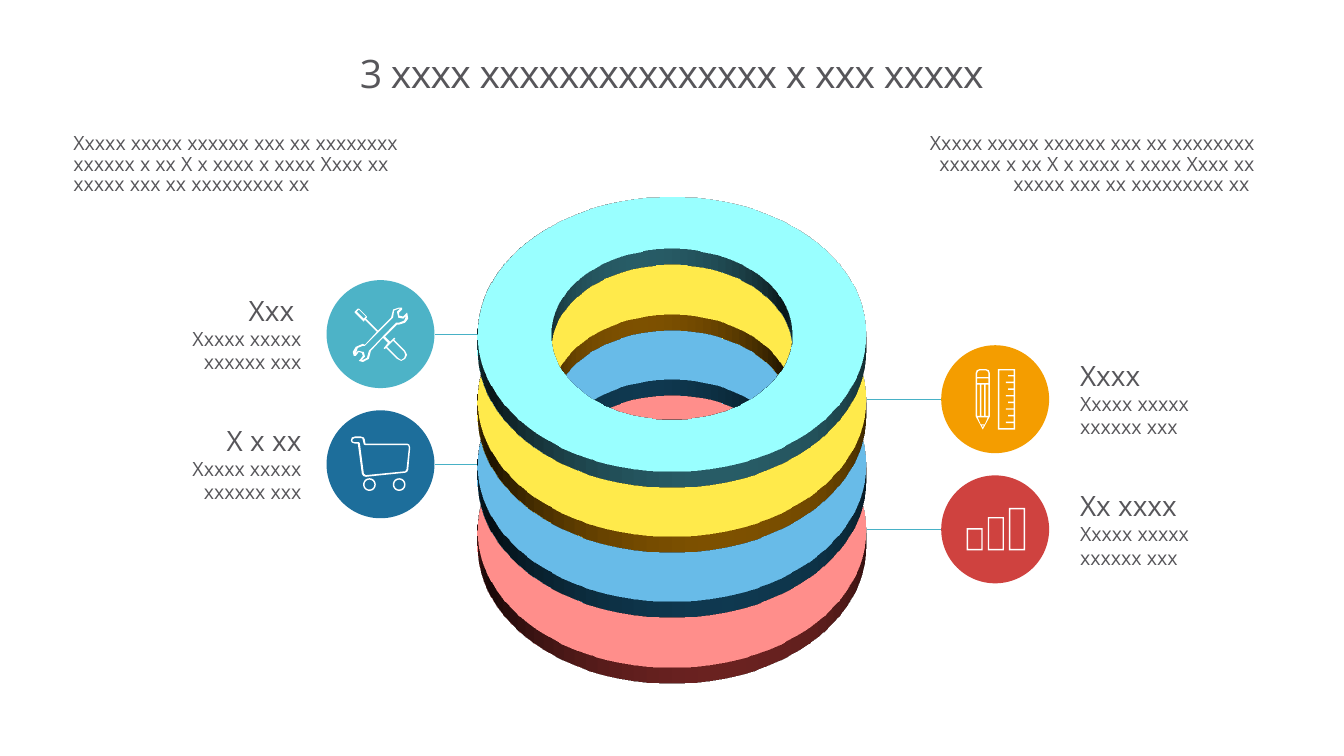
import math
from lxml import etree
from pptx import Presentation
from pptx import util as u
from pptx.dml.color import RGBColor
from pptx.enum import shapes, text
from pptx.oxml import ns

TEAL = RGBColor(0x4D, 0xB3, 0xC7)
ORANGE = RGBColor(0xF4, 0x9D, 0x00)
BLUE = RGBColor(0x1D, 0x6E, 0x9B)
RED = RGBColor(0xCF, 0x42, 0x3F)
LINE = RGBColor(0x48, 0xB1, 0xC6)
WHITE = RGBColor(0xFF, 0xFF, 0xFF)
GREY = RGBColor(0x57, 0x56, 0x5A)
FONT = "Open Sans"
LEFT, RIGHT, CENTER = text.PP_ALIGN.LEFT, text.PP_ALIGN.RIGHT, text.PP_ALIGN.CENTER
STEP = 1.64  # vertical distance between layers, cm
WALL = 1.4   # stroke of the icons, hundredths of an inch


# Icon outlines, in hundredths of an inch from the icon corner
def rect(x, y, w, h):
    return [(x, y), (x + w, y), (x + w, y + h), (x, y + h)]


def frame(x, y, w, h):
    return [rect(x, y, w, h), rect(x + WALL, y + WALL, w - 2 * WALL, h - 2 * WALL)]


def ring(cx, cy, radius):
    angles = [math.radians(a) for a in range(0, 360, 15)]
    return [[(cx + k * math.cos(a), cy + k * math.sin(a)) for a in angles]
            for k in (radius, radius - WALL)]


TOOLS = [
    [(41, 32), (42, 31), (42, 30), (41, 30), (40, 31), (37, 34), (32, 29), (44, 17),
     (46, 17), (52, 15), (55, 11), (54, 5), (53, 6), (50, 9), (46, 8), (46, 5), (49, 2),
     (49, 0), (46, 0), (40, 2), (38, 10), (25, 23), (13, 11), (14, 10), (14, 9), (6, 1),
     (5, 1), (2, 4), (2, 5), (10, 13), (11, 14), (12, 12), (24, 24), (12, 37), (10, 36),
     (3, 39), (0, 44), (1, 48), (3, 48), (6, 44), (9, 45), (10, 48), (7, 52), (6, 53),
     (10, 54), (16, 51), (18, 43), (30, 30), (35, 35), (31, 40), (31, 41), (32, 41),
     (33, 40), (44, 51), (48, 53), (52, 51), (54, 47), (52, 43)],
    [(11, 11), (4, 4), (6, 2), (13, 9)],
    [(16, 43), (14, 50), (10, 52), (9, 52), (12, 49), (12, 48), (11, 44), (10, 44),
     (6, 43), (5, 43), (3, 46), (5, 40), (10, 38), (12, 38), (39, 11), (40, 10), (41, 3),
     (46, 1), (47, 1), (44, 4), (44, 5), (45, 9), (45, 10), (50, 11), (53, 8), (51, 13),
     (46, 15), (44, 15), (43, 15), (17, 42)],
    [(51, 50), (48, 52), (45, 50), (34, 39), (40, 33), (51, 44), (52, 47)],
]
CART = [
    [(15, 40), (12.5, 39.3), (11, 37), (7, 7), (4, 7), (1, 6), (0, 4), (1, 1), (4, 0),
     (10, 0), (13, 1), (14, 3), (14.5, 7), (56, 7), (58, 8), (59, 11), (57, 33), (56, 35),
     (54, 36)],
    [(4, 1.5), (2, 2.5), (1.5, 4), (2, 5), (4, 5.7), (8, 5.7), (9, 6.5), (13, 37),
     (15, 38.3), (54, 34.5), (55.3, 32.5), (57.6, 11), (57, 9), (56, 8.5), (14, 8.5),
     (13, 8), (12, 4), (11.5, 2), (10, 1.5)],
    *ring(18.5, 47.7, 6.3), *ring(48, 47.7, 6.3),
]
PENCIL = [
    [(0, 47), (7, 60), (14, 47), (14, 4), (13, 1.2), (10, 0), (4, 0), (1, 1.2), (0, 4)],
    [(1.4, 8), (1.4, 4), (2.5, 2), (4, 1.4), (10, 1.4), (11.5, 2), (12.6, 4), (12.6, 8)],
    rect(1.4, 9.2, 11.2, 4.8),
    *[rect(x, 15.5, 2.8, 31) for x in (1.4, 5.6, 9.8)],
    [(2, 48), (12, 48), (9, 55), (5, 55)],
    [(6, 56), (8, 56), (7, 58)],
]
RULER = frame(0, 0, 17, 60) + [
    rect(8 + 2 * (1 - i % 2), 6 + 6.6 * i, 7.6 - 2 * (1 - i % 2), WALL) for i in range(8)]
BARS = frame(0, 20, 16, 22) + frame(21, 9, 16, 33) + frame(42, 0, 16, 42)


class Infographic:
    def __init__(self, s):
        self.s = s

    def plain(self, sp, color):
        sp.shadow.inherit = False
        sp.fill.solid()
        sp.fill.fore_color.rgb = color
        sp.line.fill.background()
        return sp

    def shape(self, kind, x, y, size, color):
        sp = self.s.shapes.add_shape(kind, u.Cm(x), u.Cm(y), u.Cm(size), u.Cm(size))
        return self.plain(sp, color)

    def layer(self, x, y, color):
        """Donut tilted back by 45 degrees and extruded."""
        sp = self.shape(shapes.MSO_SHAPE.DONUT, x, y, 9.8, color)
        sp.adjustments[0] = 0.19
        props = sp._element.spPr
        scene = etree.SubElement(props, ns.qn("a:scene3d"))
        camera = etree.SubElement(scene, ns.qn("a:camera"), prst="orthographicFront")
        etree.SubElement(camera, ns.qn("a:rot"), lat="18900000", lon="0", rev="0")
        etree.SubElement(scene, ns.qn("a:lightRig"), rig="threePt", dir="t")
        etree.SubElement(props, ns.qn("a:sp3d"), extrusionH="203200")

    def icon(self, x, y, outlines):
        first, *others = [[(10 * px, 10 * py) for px, py in o] for o in outlines]
        builder = self.s.shapes.build_freeform(*first[0], scale=u.Cm(2.54) / 1000)
        builder.add_line_segments(first[1:], close=True)
        for outline in others:
            builder.move_to(*outline[0])
            builder.add_line_segments(outline[1:], close=True)
        return self.plain(builder.convert_to_shape(u.Cm(x), u.Cm(y)), WHITE)

    def line(self, x1, x2, y):
        c = self.s.shapes.add_connector(shapes.MSO_CONNECTOR.STRAIGHT,
                                        u.Cm(x1), u.Cm(y), u.Cm(x2), u.Cm(y))
        c.line.color.rgb = LINE
        c.line.width = u.Pt(0.75)
        etree.SubElement(c._element.spPr, ns.qn("a:effectLst"))

    def run(self, p, words, size, align, spacing=None):
        p.alignment = align
        if spacing:
            p.line_spacing = spacing
        r = p.add_run()
        r.text = words
        r.font.name, r.font.size = FONT, u.Pt(size)
        r.font.color.rgb = GREY
        return r

    def box(self, x, y, w, h, align, parts, spacing=None, insets=None):
        tf = self.s.shapes.add_textbox(u.Cm(x), u.Cm(y), u.Cm(w), u.Cm(h)).text_frame
        tf.word_wrap = True
        tf.auto_size = text.MSO_AUTO_SIZE.SHAPE_TO_FIT_TEXT
        if insets:
            side, tf.margin_top, tf.margin_bottom = [u.Cm(v) for v in insets]
            tf.margin_left = tf.margin_right = side
        for i, (words, size) in enumerate(parts):
            p = tf.add_paragraph() if i else tf.paragraphs[0]
            self.run(p, words, size, align, spacing)

    def title(self, words):
        sp = self.s.shapes.title
        sp.left, sp.top, sp.width, sp.height = [u.Cm(v) for v in (2.54, 0.79, 28.78, 2.26)]
        tf = sp.text_frame
        tf.margin_left = tf.margin_right = tf.margin_top = tf.margin_bottom = 0
        tf.vertical_anchor = text.MSO_ANCHOR.MIDDLE
        r = self.run(tf.paragraphs[0], words, 28, CENTER, 0.86)
        r._r.get_or_add_rPr().set("spc", "-50")


def main():
    prs = Presentation()
    prs.slide_width, prs.slide_height = u.Cm(33.87), u.Cm(19.05)
    page = Infographic(prs.slides.add_slide(prs.slide_layouts[5]))
    page.title("3 xxxx xxxxxxxxxxxxxxx x xxx xxxxx")

    # Stack of layers, lowest first
    colors = [TEAL, ORANGE, BLUE, RED]
    for i in reversed(range(4)):
        page.layer(12.04, 3.53 + STEP * i, colors[i])

    # Labels, alternating left and right
    for i, heading in enumerate(["Xxx ", "Xxxx", "X x xx", "Xx xxxx"]):
        drop = STEP * i
        if i % 2:
            circle_x, text_x, align, ends = 23.72, 26.97, LEFT, (23.72, 21.84)
        else:
            circle_x, text_x, align, ends = 8.23, 4.04, RIGHT, (10.97, 12.03)
        page.shape(shapes.MSO_SHAPE.OVAL, circle_x, 7.06 + drop, 2.72, colors[i])
        page.box(text_x, 7.26 + drop, 3.81, 2.31, align,
                 [(heading, 20), ("Xxxxx xxxxx xxxxxx xxx", 14)])
        page.line(*ends, 8.42 + drop)

    # Icons
    page.icon(8.89, 7.75, TOOLS)
    page.icon(8.84, 11, CART)
    drawing = [page.icon(24.59, 9.3, PENCIL), page.icon(25.15, 9.3, RULER)]
    page.s.shapes.add_group_shape(drawing)
    page.icon(24.36, 12.8, BARS)

    # Introductions
    intro = "Xxxxx xxxxx xxxxxx xxx xx xxxxxxxx xxxxxx x xx X x xxxx x xxxx Xxxx xx xxxxx xxx xx xxxxxxxxx xx"
    for x, align, words in [(1.52, LEFT, intro), (23.04, RIGHT, intro + " ")]:
        page.box(x, 3.23, 8.92, 1.9, align, [(words, 14)], 0.89, (0.33, 0.13, 0.18))

    prs.save("out.pptx")


if __name__ == "__main__":
    main()
